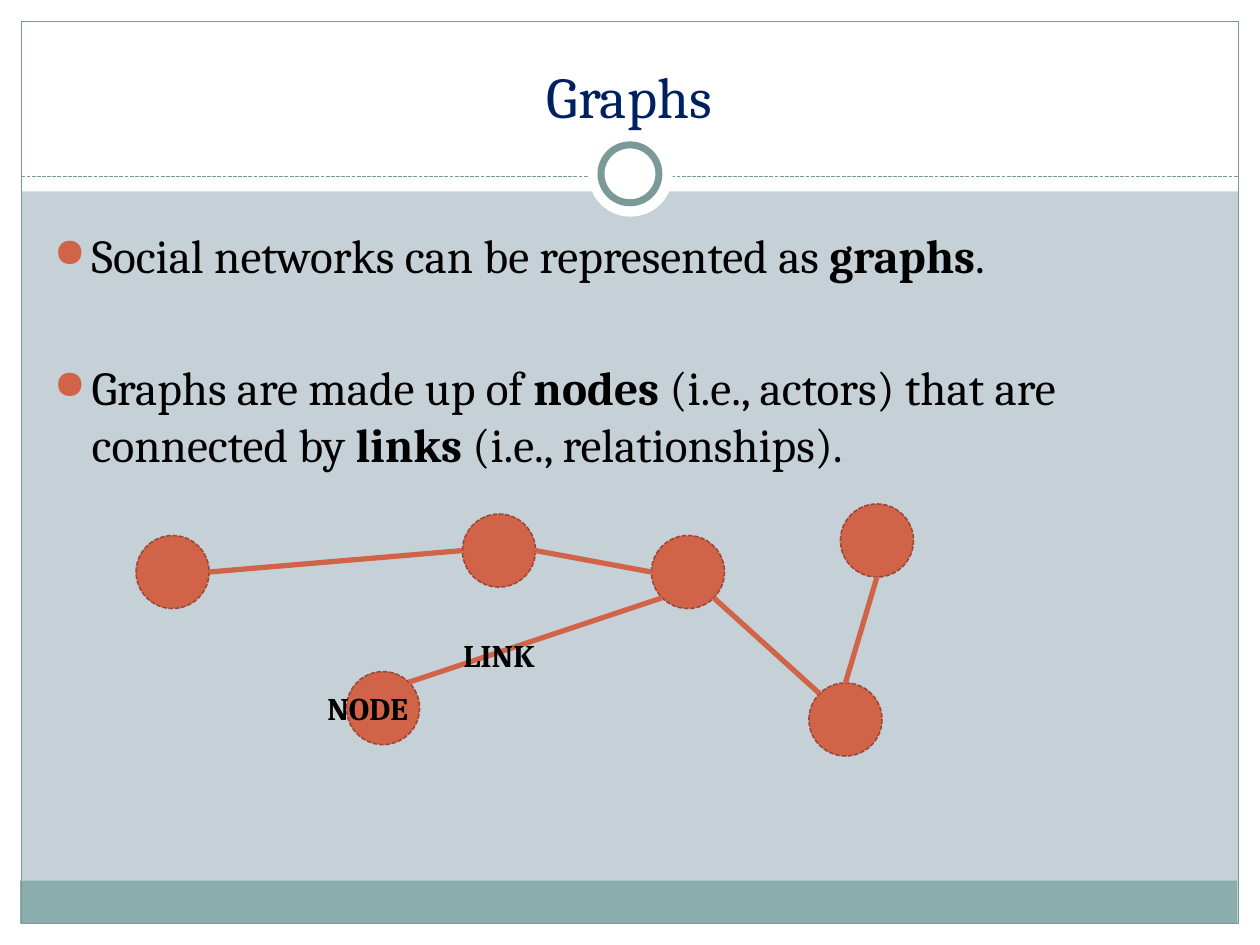
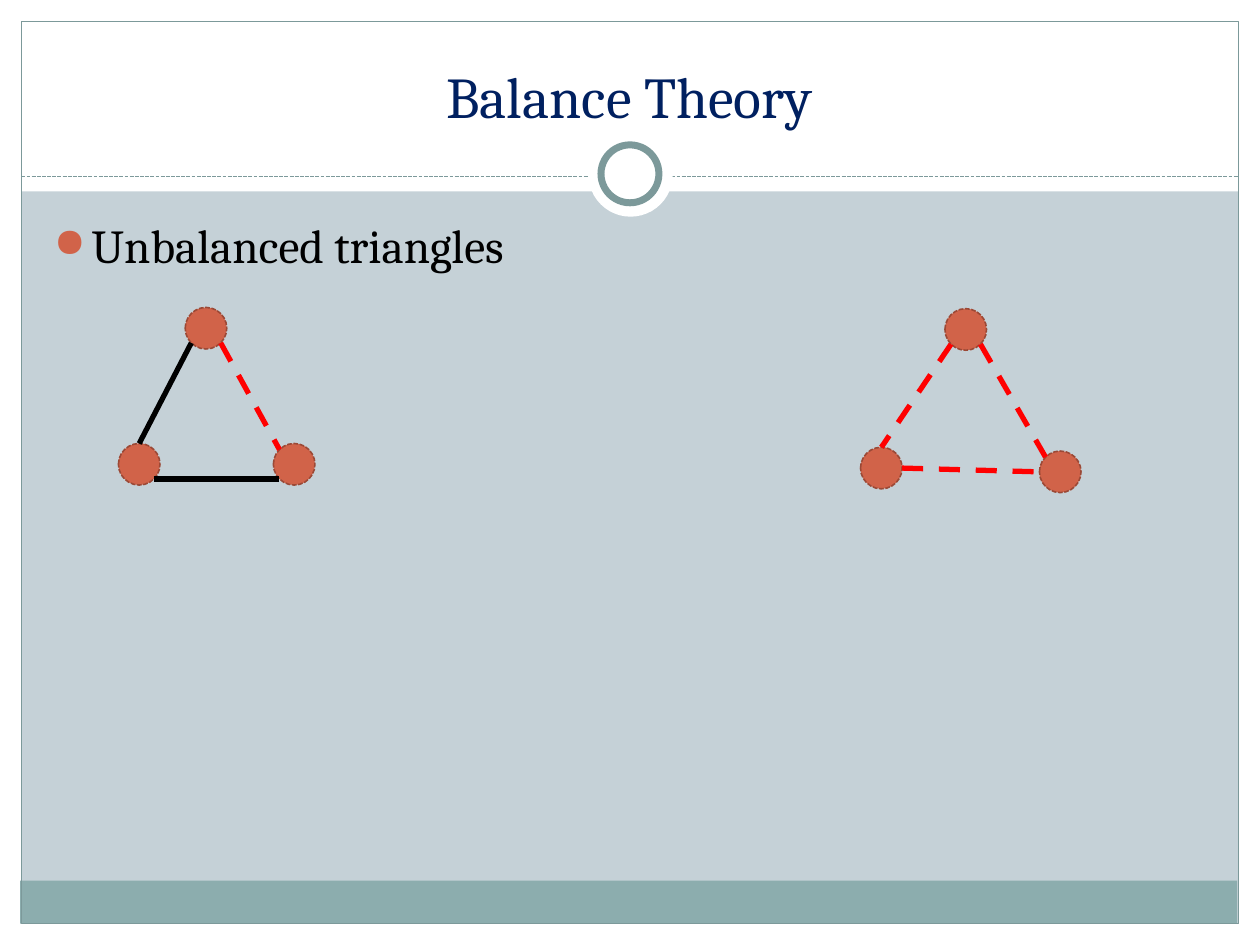
from math import cos, radians, sin

from lxml.etree import SubElement
from pptx import Presentation
from pptx.dml.color import RGBColor
from pptx.enum.dml import MSO_LINE
from pptx.enum.shapes import MSO_CONNECTOR, MSO_SHAPE
from pptx.enum.text import MSO_ANCHOR, MSO_AUTO_SIZE, PP_ALIGN
from pptx.oxml.ns import qn
from pptx.util import Pt

EMU_PER_PX = 9144
FONT = "Cambria"
WHITE, BLACK, RED, NAVY = "FFFFFF", "000000", "FF0000", "002060"
BACKDROP, FOOTER, FRAME = "C5D1D7", "8CADAE", "7C999A"
ACCENT, ACCENT_EDGE = "D16349", "9B4936"

EDGE_BANDS = [
    (0, 733, 1000, 17, WHITE),
    (0, 0, 1000, 152, WHITE),
    (0, 0, 17, 750, WHITE),
    (983, 0, 17, 750, WHITE),
    (16, 699, 966, 34, FOOTER),
]
SITES = {"E": 0, "SE": 45, "S": 90, "SW": 135, "W": 180, "NW": 225, "N": 270}


def px(length):
    """Turn px into whole EMU."""
    return round(length * EMU_PER_PX)


def box(*lengths):
    """Turn a left, top, width, height box into EMU."""
    return [px(length) for length in lengths]


def rgb(hex_color):
    """Turn a hex string into a colour."""
    return RGBColor.from_string(hex_color)


def style_line(line, color, width, dash=None):
    """Set colour, width in points and dash of a line."""
    line.color.rgb = rgb(color)
    line.width = Pt(width)
    if dash is not None:
        line.dash_style = dash


def style_font(font, size, color, bold=False):
    """Set the deck's typeface with a size, colour and weight."""
    font.name = FONT
    font.size = Pt(size)
    font.color.rgb = rgb(color)
    font.bold = bold


def add_figure(slide, preset, area, fill=None, edge=None):
    """Add a flat preset shape with an optional fill and outline."""
    figure = slide.shapes.add_shape(preset, *box(*area))
    figure.shadow.inherit = False
    if fill:
        figure.fill.solid()
        figure.fill.fore_color.rgb = rgb(fill)
    else:
        figure.fill.background()
    if edge:
        style_line(figure.line, *edge)
    else:
        figure.line.fill.background()
    return figure


def add_line(slide, start, end, color, width, dash=None):
    """Add a straight line without a shadow."""
    connector = slide.shapes.add_connector(MSO_CONNECTOR.STRAIGHT, *box(*start, *end))
    style_line(connector.line, color, width, dash)
    SubElement(connector.element.spPr, qn("a:effectLst"))


def add_themed_slide(prs, heading):
    """Add a title-only slide with the bands, frame, ring and heading."""
    slide = prs.slides.add_slide(prs.slide_layouts[5])
    for *area, color in EDGE_BANDS:
        add_figure(slide, MSO_SHAPE.RECTANGLE, area, color)
    add_figure(slide, MSO_SHAPE.RECTANGLE, (17, 17, 966, 716), edge=(FRAME, 0.75))
    add_line(slide, (17, 140), (983, 140), FRAME, 0.75, MSO_LINE.SQUARE_DOT)
    add_figure(slide, MSO_SHAPE.OVAL, (467, 105, 67, 67), WHITE)
    add_figure(slide, MSO_SHAPE.OVAL, (477, 115, 46, 46), WHITE, (FRAME, 4))

    title = slide.shapes.title
    title.element.getparent().append(title.element)
    title.left, title.top, title.width, title.height = box(33, 25, 933, 83)
    frame = title.text_frame
    frame.text = heading
    frame.auto_size = MSO_AUTO_SIZE.NONE
    frame.vertical_anchor = MSO_ANCHOR.BOTTOM
    paragraph = frame.paragraphs[0]
    paragraph.alignment = PP_ALIGN.CENTER
    style_font(paragraph.font, 33, NAVY)
    return slide


def add_bullet_mark(paragraph):
    """Give a paragraph a hanging accent-coloured disc."""
    properties = paragraph._p.get_or_add_pPr()
    properties.set("marL", str(px(30)))
    properties.set("indent", str(px(-30)))
    mark_color = SubElement(properties, qn("a:buClr"))
    SubElement(mark_color, qn("a:srgbClr"), val=ACCENT)
    SubElement(properties, qn("a:buSzPct"), val="85000")
    SubElement(properties, qn("a:buChar"), char="●")


def add_bullets(slide, area, statements):
    """Add bullets, with words between asterisks in bold."""
    frame = slide.shapes.add_textbox(*box(*area)).text_frame
    frame.word_wrap = True
    for index, statement in enumerate(statements):
        paragraph = frame.add_paragraph() if index else frame.paragraphs[0]
        add_bullet_mark(paragraph)
        paragraph.space_before = Pt(43 if index else 5.4)
        style_font(paragraph.font, 27, BLACK)
        for part, words in enumerate(statement.split("*")):
            run = paragraph.add_run()
            run.text = words
            run.font.bold = part % 2 == 1


def add_label(slide, area, wording):
    """Add a bold caption on the graph."""
    frame = slide.shapes.add_textbox(*box(*area)).text_frame
    frame.word_wrap = True
    frame.text = wording
    style_font(frame.paragraphs[0].font, 18, BLACK, True)


def rim_point(corner, diameter, site):
    """Find the point of a node's rim in a compass direction."""
    radius = diameter / 2
    angle = radians(SITES[site])
    left, top = corner
    return left + radius * (1 + cos(angle)), top + radius * (1 + sin(angle))


def add_graph(slide, nodes, diameter, links):
    """Draw round nodes and the links between their rims."""
    for corner in nodes.values():
        add_figure(slide, MSO_SHAPE.OVAL, (*corner, diameter, diameter), ACCENT,
                   (ACCENT_EDGE, 0.9, MSO_LINE.SQUARE_DOT))
    for source, source_site, target, target_site, color, dash in links:
        add_line(slide, rim_point(nodes[source], diameter, source_site),
                 rim_point(nodes[target], diameter, target_site), color, 3, dash)


def build_graphs(prs):
    """Build the slide that introduces nodes and links."""
    slide = add_themed_slide(prs, "Graphs")
    add_bullets(slide, (33, 175, 900, 250), [
        "Social networks can be represented as *graphs*.",
        "Graphs are made up of *nodes* (i.e., actors) that are connected by "
        "*links* (i.e., relationships).",
    ])
    actors = {
        "west": (108, 425), "labelled": (275, 533), "hub": (517, 425),
        "middle": (367, 408), "northeast": (667, 400), "southeast": (642, 542),
    }
    relationships = [
        ("west", "E", "middle", "W"),
        ("labelled", "SE", "hub", "SW"),
        ("northeast", "S", "southeast", "N"),
        ("hub", "SE", "southeast", "NW"),
        ("middle", "E", "hub", "W"),
    ]
    relationships[1] = ("labelled", "NE", "hub", "SW")
    add_graph(slide, actors, 58, [(*ends, ACCENT, None) for ends in relationships])
    add_label(slide, (250, 542, 108, 40), "NODE")
    add_label(slide, (358, 500, 92, 40), "LINK")


def build_balance_theory(prs):
    """Build the slide with the two unbalanced triangles."""
    slide = add_themed_slide(prs, "Balance Theory")
    add_bullets(slide, (33, 167, 930, 500), ["Unbalanced triangles"])
    positive, negative = (BLACK, None), (RED, MSO_LINE.DASH)
    add_graph(slide, {"apex": (147, 244), "left": (94, 352), "right": (217, 352)}, 33, [
        ("apex", "SE", "right", "NW", *negative),
        ("left", "SE", "right", "SW", *positive),
        ("apex", "SW", "left", "N", *positive),
    ])
    add_graph(slide, {"apex": (750, 245), "left": (683, 355), "right": (825, 358)}, 33, [
        ("apex", "SW", "left", "N", *negative),
        ("apex", "SE", "right", "NW", *negative),
        ("left", "E", "right", "W", *negative),
    ])


def main():
    """Build and save the deck."""
    prs = Presentation()
    prs.slide_width, prs.slide_height = box(1000, 750)
    backdrop = prs.slide_master.background.fill
    backdrop.solid()
    backdrop.fore_color.rgb = rgb(BACKDROP)
    build_graphs(prs)
    build_balance_theory(prs)
    prs.save("out.pptx")


SITES["NE"] = 315

if __name__ == "__main__":
    main()
